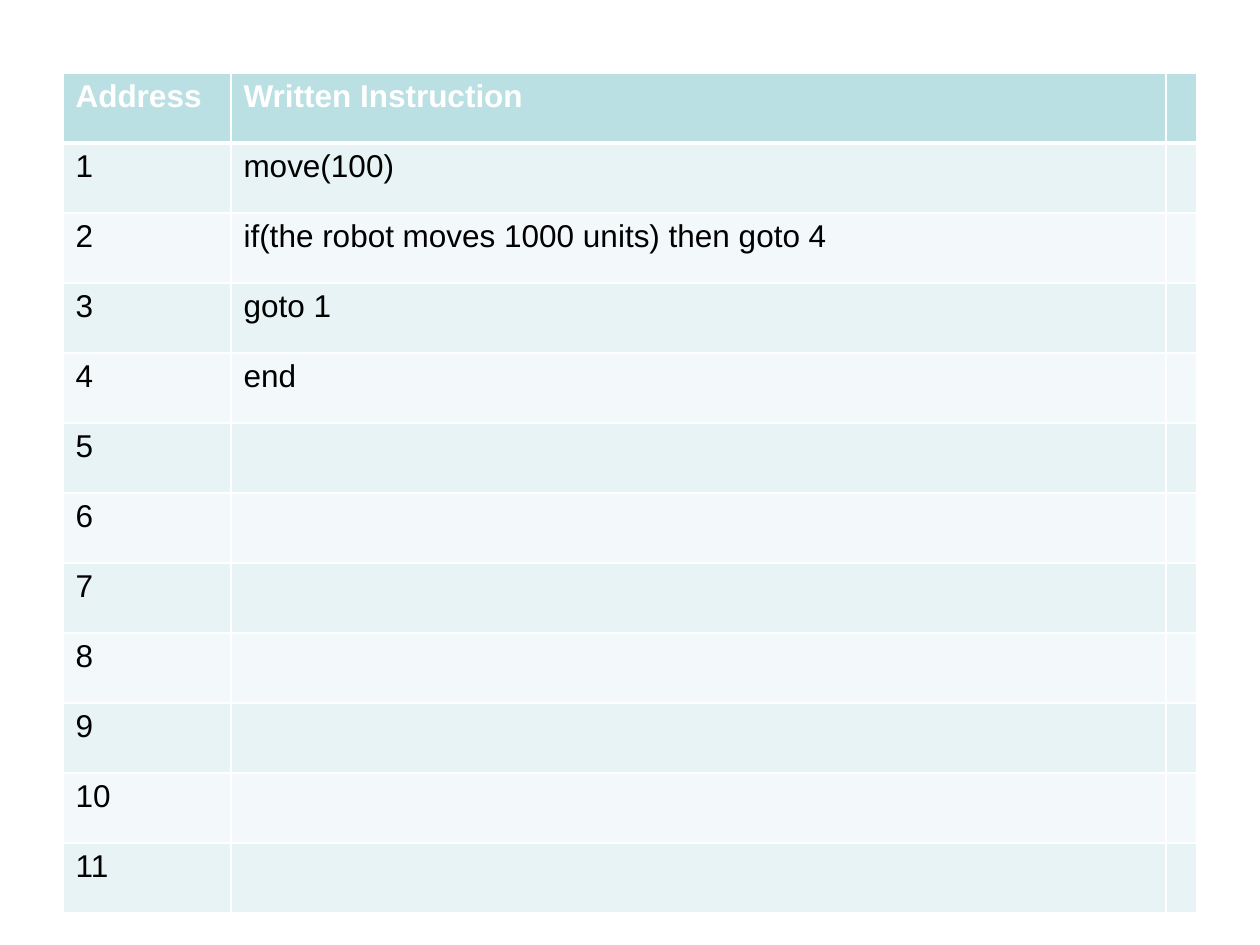
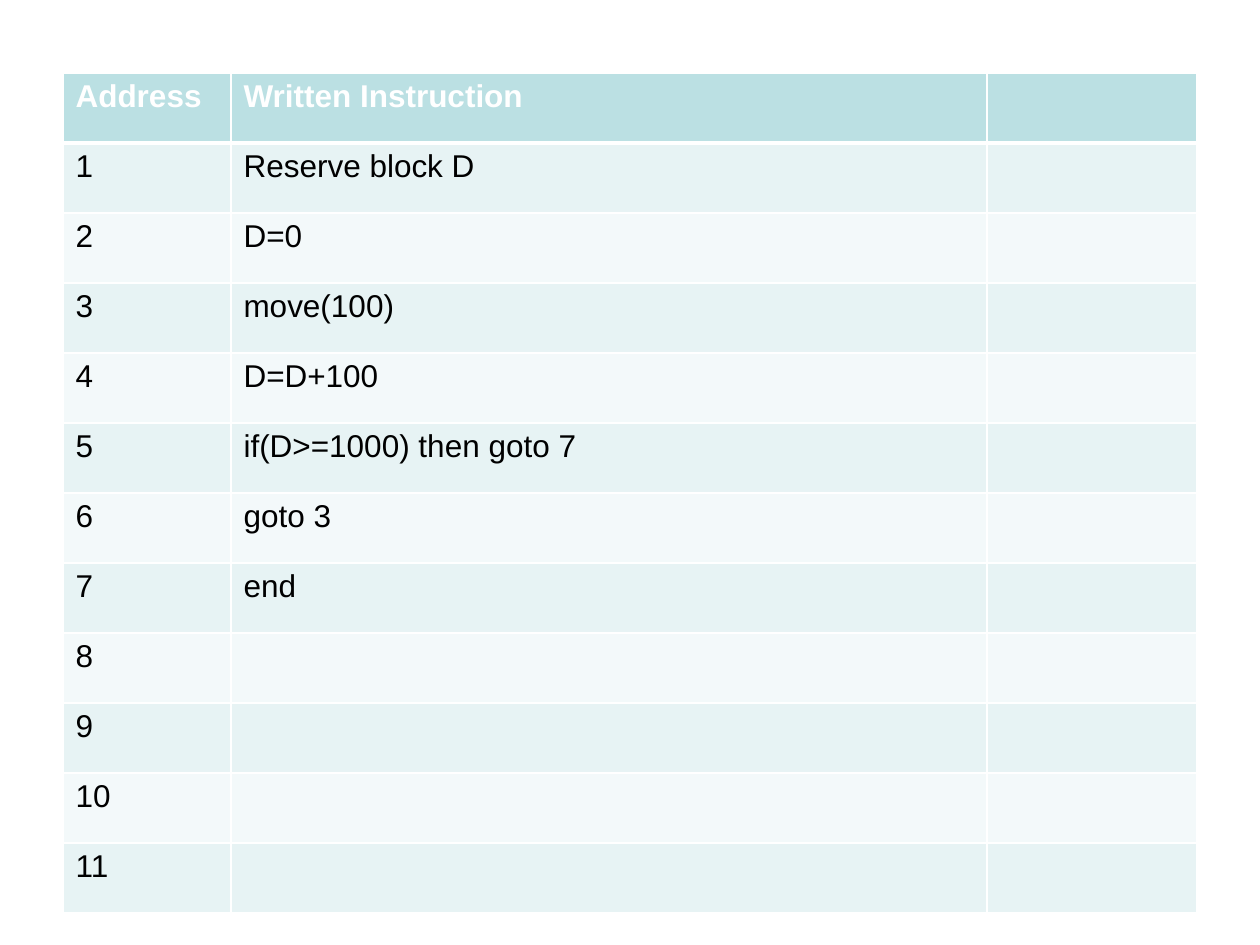
"""Build two slides that list robot programs by address."""
from lxml.etree import SubElement as add_child
from pptx import Presentation
from pptx.dml.color import RGBColor
from pptx.oxml.ns import qn
from pptx.util import Emu, Pt

WHITE = RGBColor(0xFF, 0xFF, 0xFF)
BLACK = RGBColor(0x00, 0x00, 0x00)
HEADER = RGBColor(0xBB, 0xE0, 0xE3)
BANDS = (RGBColor(0xF3, 0xF9, 0xFA), RGBColor(0xE7, 0xF3, 0xF4))
FONT = "Arial"
TEXT_SIZE = Pt(18)
THIN, THICK = Pt(1), Pt(3)

SCALE = 914400 / 126
PAGE_WIDTH, PAGE_HEIGHT = 1260, 945
BLANK_LAYOUT = 6
TABLE_LEFT, TABLE_TOP = 63, 73
ROW_HEIGHT = 70
ADDRESS_COUNT = 11
HEADINGS = ("Address", "Written Instruction", "")

PROGRAMS = (
    ((168, 935, 31), (
        "move(100)",
        "if(the robot moves 1000 units) then goto 4",
        "goto 1",
        "end",
    )),
    ((168, 756, 210), (
        "Reserve block D",
        "D=0",
        "move(100)",
        "D=D+100",
        "if(D>=1000) then goto 7",
        "goto 3",
        "end",
    )),
)


def px(length):
    """Turn pixels into EMU."""
    return Emu(round(length * SCALE))


class ProgramDeck:
    """Hold the deck, its style and the current page."""

    def __init__(self):
        """Start an empty deck of the right size."""
        self.deck = Presentation()
        self.deck.slide_width = px(PAGE_WIDTH)
        self.deck.slide_height = px(PAGE_HEIGHT)
        self.page = None

    def add_page(self):
        """Add a blank page and make it current."""
        layout = self.deck.slide_layouts[BLANK_LAYOUT]
        self.page = self.deck.slides.add_slide(layout)

    def add_program(self, widths, instructions):
        """Add a table with one numbered row for each address."""
        rows = [HEADINGS]
        for address in range(1, ADDRESS_COUNT + 1):
            written = instructions[address - 1] if address <= len(instructions) else ""
            rows.append((str(address), written, ""))
        table = self.page.shapes.add_table(
            len(rows), len(widths), px(TABLE_LEFT), px(TABLE_TOP),
            px(sum(widths)), px(ROW_HEIGHT * len(rows))).table
        for column, width in zip(table.columns, widths):
            column.width = px(width)
        for row_index, texts in enumerate(rows):
            table.rows[row_index].height = px(ROW_HEIGHT)
            for column_index, text in enumerate(texts):
                self.style_cell(table.cell(row_index, column_index), text, row_index)

    def style_cell(self, cell, text, row_index):
        """Fill, border and write one cell according to its row."""
        is_header = row_index == 0
        cell.fill.solid()
        cell.fill.fore_color.rgb = HEADER if is_header else BANDS[row_index % 2]
        self.add_borders(cell, top=THICK if row_index == 1 else THIN,
                         bottom=THICK if is_header else THIN)
        para = cell.text_frame.paragraphs[0]
        para.text = text
        para.font.size = TEXT_SIZE
        for span in para.runs:
            span.font.name = FONT
            span.font.size = TEXT_SIZE
            span.font.bold = is_header
            span.font.color.rgb = WHITE if is_header else BLACK

    def add_borders(self, cell, top, bottom):
        """Draw white lines on all four sides of a cell."""
        properties = cell._tc.get_or_add_tcPr()
        sides = (("a:lnL", THIN), ("a:lnR", THIN), ("a:lnT", top), ("a:lnB", bottom))
        for position, (tag, width) in enumerate(sides):
            line = add_child(properties, qn(tag), w=str(int(width)))
            fill = add_child(line, qn("a:solidFill"))
            add_child(fill, qn("a:srgbClr"), val=str(WHITE))
            properties.insert(position, line)


def main():
    """Build and save the deck."""
    program_deck = ProgramDeck()
    for widths, instructions in PROGRAMS:
        program_deck.add_page()
        program_deck.add_program(widths, instructions)
    program_deck.deck.save("out.pptx")


main()
